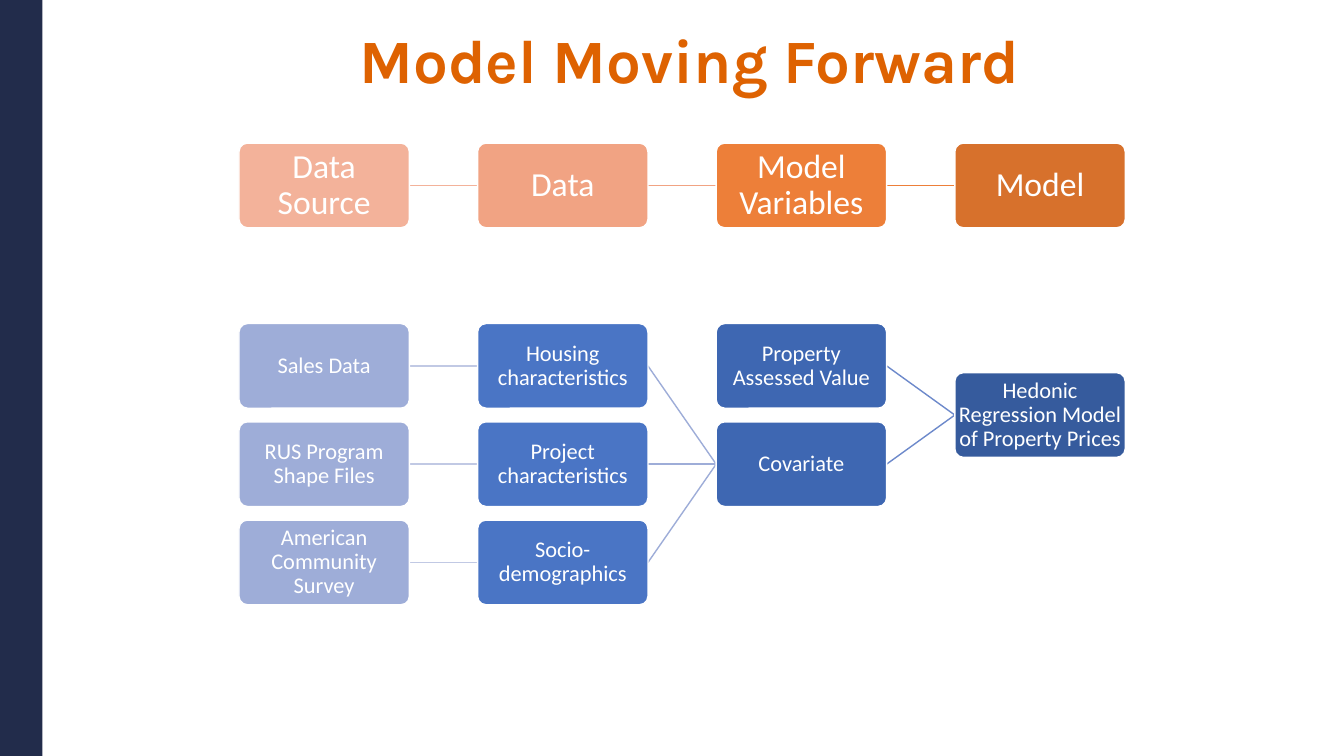
import pptx
import pptx.util
import pptx.dml.color
import pptx.enum.shapes
import pptx.enum.text
import pptx.oxml
from pptx.util import Inches

RGBColor = pptx.dml.color.RGBColor
Shapes = pptx.enum.shapes.MSO_SHAPE
Anchor = pptx.enum.text.MSO_ANCHOR

WHITE = RGBColor(0xFF, 0xFF, 0xFF)
NAVY = RGBColor(0x22, 0x2C, 0x4B)
ORANGE = RGBColor(0xDE, 0x62, 0x01)
# One colour per column, left to right
WARM = [RGBColor(0xF3, 0xB2, 0x9A), RGBColor(0xF1, 0xA3, 0x83),
        RGBColor(0xED, 0x7F, 0x39), RGBColor(0xD7, 0x71, 0x2C)]
COOL = [RGBColor(0x9E, 0xAD, 0xD8), RGBColor(0x4A, 0x75, 0xC5),
        RGBColor(0x3E, 0x67, 0xB2), RGBColor(0x36, 0x5B, 0x9D)]
LINKS = [RGBColor(0xC1, 0xC9, 0xE4), RGBColor(0x9E, 0xAD, 0xD8),
         RGBColor(0x6D, 0x89, 0xCB)]

# Grid in inches
LEFT, STEP = 2.37, (9.47 - 2.37) / 3
WIDTH, HEIGHT = 1.69, 0.84
HEAD = 1.42
TOP, PITCH = 3.21, (5.16 - 3.21) / 2

HEADS = ["Data Source", "Data", "Model Variables", "Model"]
# Column, row, text
NODES = [
    (0, 0, "Sales Data"),
    (0, 1, "RUS Program Shape Files"),
    (0, 2, "American Community Survey"),
    (1, 0, "Housing characteristics"),
    (1, 1, "Project characteristics"),
    (1, 2, "Socio-demographics"),
    (2, 0, "Property Assessed Value"),
    (2, 1, "Covariate"),
    (3, 0.5, "Hedonic Regression Model of Property Prices"),
]
# Start column, start row, end row in the next column
EDGES = [(0, 0, 0), (0, 1, 1), (0, 2, 2), (1, 0, 1), (1, 1, 1), (1, 2, 1),
         (2, 0, 0.5), (2, 1, 0.5)]


def write(frame, text, size, color=WHITE, font="Calibri", bold=False,
          space=0.9):
    frame.word_wrap = True
    para = frame.paragraphs[0]
    para.text = text
    para.alignment = pptx.enum.text.PP_ALIGN.CENTER
    para.line_spacing = space
    para.font.size = pptx.util.Pt(size)
    para.font.name = font
    para.font.bold = bold
    para.font.color.rgb = color


def block(slide, kind, x, y, w, h, fill):
    shape = slide.shapes.add_shape(kind, Inches(x), Inches(y), Inches(w),
                                   Inches(h))
    shape.shadow.inherit = False
    shape.fill.solid()
    shape.fill.fore_color.rgb = fill
    shape.line.fill.background()
    return shape


def card(slide, col, y, text, fill, size, inset):
    shape = block(slide, Shapes.ROUNDED_RECTANGLE, LEFT + col * STEP, y,
                  WIDTH, HEIGHT, fill)
    shape.adjustments[0] = 0.1
    shape.line.color.rgb = WHITE
    shape.line.width = pptx.util.Pt(1)
    frame = shape.text_frame
    frame.margin_left = frame.margin_right = Inches(inset)
    frame.margin_top = frame.margin_bottom = Inches(inset)
    frame.vertical_anchor = Anchor.MIDDLE
    write(frame, text, size)


def link(slide, col, start, end, color):
    """Join a card in one column to a card in the next, given their tops."""
    x = LEFT + col * STEP
    line = slide.shapes.add_connector(
        pptx.enum.shapes.MSO_CONNECTOR.STRAIGHT,
        Inches(x + WIDTH), Inches(start + HEIGHT / 2),
        Inches(x + STEP), Inches(end + HEIGHT / 2))
    line.line.color.rgb = color
    line.line.width = pptx.util.Pt(1)
    props = line._element.spPr
    props.append(pptx.oxml.parse_xml(
        '<a:effectLst xmlns:a='
        '"http://schemas.openxmlformats.org/drawingml/2006/main"/>'))


def title(slide, text):
    box = slide.shapes.add_textbox(Inches(1.66), Inches(0.17), Inches(10.36),
                                   Inches(0.84))
    write(box.text_frame, text, 44, color=ORANGE, font="Karla", bold=True,
          space=1.0)


def main():
    deck = pptx.Presentation()
    deck.slide_width = Inches(13.33)
    deck.slide_height = Inches(7.5)
    slide = deck.slides.add_slide(deck.slide_layouts[6])

    # Side band and title
    block(slide, Shapes.RECTANGLE, 0, 0, 0.42, 7.5, NAVY)
    title(slide, "Model Moving Forward")

    # Header row
    for col, color in enumerate(WARM[:-1]):
        link(slide, col, HEAD, HEAD, color)
    for col, text in enumerate(HEADS):
        card(slide, col, HEAD, text, WARM[col], 24, 0.02)

    # Flow from sources to model
    for col, start, end in EDGES:
        link(slide, col, TOP + start * PITCH, TOP + end * PITCH, LINKS[col])
    for col, row, text in NODES:
        card(slide, col, TOP + row * PITCH, text, COOL[col], 16, 0.01)

    deck.save("out.pptx")


if __name__ == "__main__":
    main()
